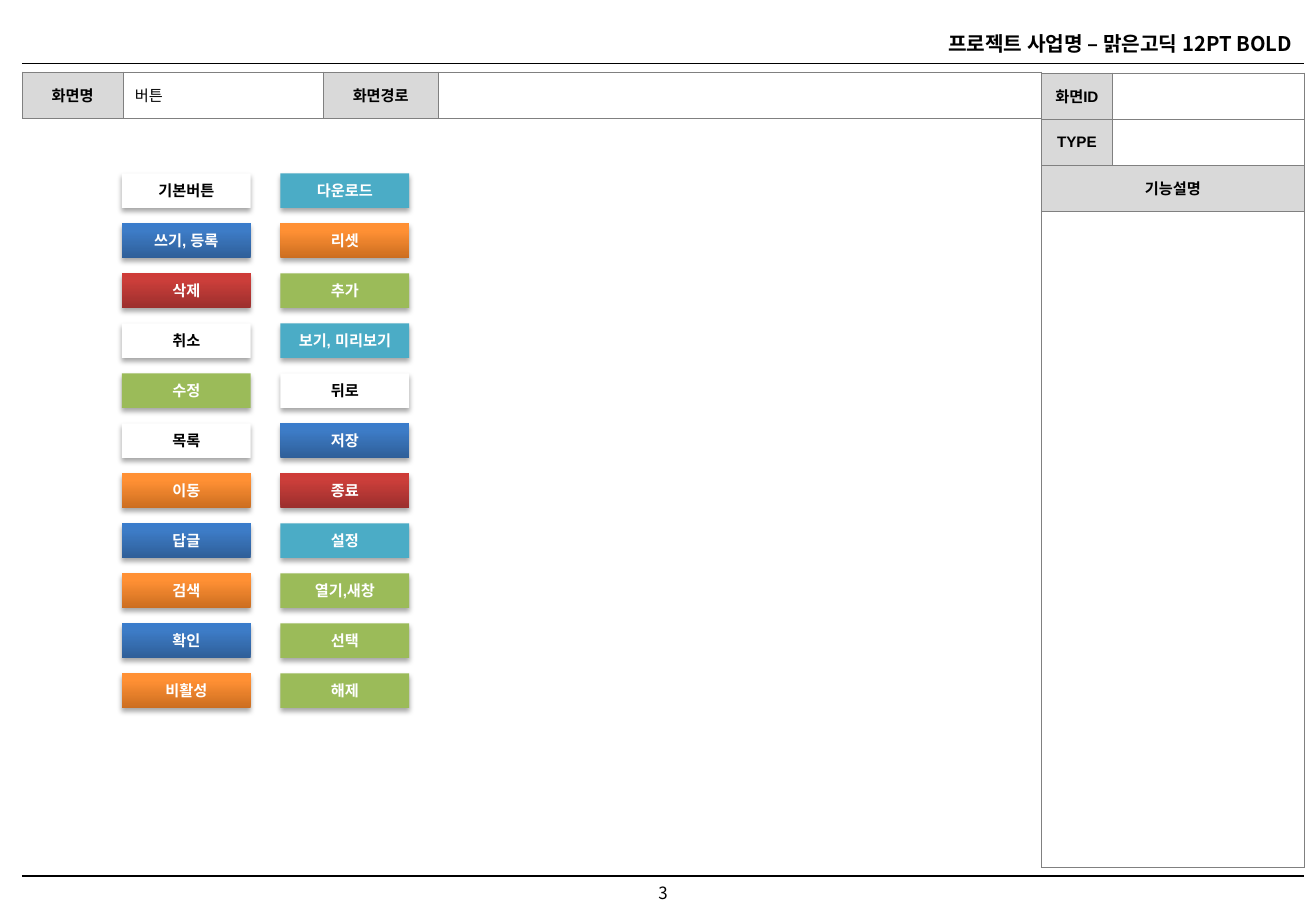
from lxml.etree import SubElement
from pptx import Presentation
from pptx.dml.color import RGBColor
from pptx.enum.shapes import MSO_CONNECTOR as Line, MSO_SHAPE as Preset
from pptx.enum.text import MSO_ANCHOR as Anchor, PP_ALIGN as Align
from pptx.oxml import parse_xml
from pptx.oxml.ns import nsdecls, qn
from pptx.util import Pt

KOREAN, LATIN = "Noto Sans CJK KR", "Arial"
BLACK, WHITE, LABEL_GREY, BORDER_GREY = "000000", "FFFFFF", "D9D9D9", "808080"
CELL_INSET = Pt(2.88)

# Button fills: one colour, or gradient stops from bottom to top
STYLES = {
    "white": WHITE,
    "green": "9BBB59",
    "teal": "4BACC6",
    "blue": [(0, "2F5F99"), (80, "3D7CC7"), (100, "3A7CCB")],
    "red": [(0, "9C2F2D"), (80, "CB3E3A"), (100, "CE3B37")],
    "orange": [(0, "CC6E20"), (80, "FF9034"), (100, "FF9136")],
}
BUTTON_COLUMNS = [
    [("기본버튼", "white"), ("쓰기, 등록", "blue"), ("삭제", "red"),
     ("취소", "white"), ("수정", "green"), ("목록", "white"),
     ("이동", "orange"), ("답글", "blue"), ("검색", "orange"),
     ("확인", "blue"), ("비활성", "orange")],
    [("다운로드", "teal"), ("리셋", "orange"), ("추가", "green"),
     ("보기, 미리보기", "teal"), ("뒤로", "white"), ("저장", "blue"),
     ("종료", "red"), ("설정", "teal"), ("열기,새창", "green"),
     ("선택", "green"), ("해제", "green")],
]


def rgb(hex_colour):
    return RGBColor.from_string(hex_colour)


def set_all(target, values):
    for name, value in values.items():
        setattr(target, name, value)


def write(frame, text, size=9, face=LATIN, colour=BLACK, bold=True, align=Align.CENTER):
    paragraph = frame.paragraphs[0]
    paragraph.alignment = align
    run = paragraph.add_run()
    run.text = text
    set_all(run.font, {"size": Pt(size), "name": face, "bold": bold})
    run.font.color.rgb = rgb(colour)
    SubElement(run.font._element, qn("a:ea"), typeface=KOREAN)


def add_label(slide, box, text, anchor=Anchor.TOP, **style):
    label = slide.shapes.add_textbox(*map(Pt, box))
    set_all(label.text_frame, {"word_wrap": True, "vertical_anchor": anchor})
    write(label.text_frame, text, face=KOREAN, **style)


def add_rule(slide, left, top, width):
    rule = slide.shapes.add_connector(
        Line.STRAIGHT, Pt(left), Pt(top), Pt(left + width), Pt(top))
    rule.line.color.rgb = rgb(BLACK)
    rule.line.width = Pt(0.75)
    SubElement(rule.element.spPr, qn("a:effectLst"))


def format_cell(cell, text):
    set_all(cell, {"margin_left": CELL_INSET, "margin_right": CELL_INSET,
                   "margin_top": CELL_INSET, "margin_bottom": CELL_INSET,
                   "vertical_anchor": Anchor.MIDDLE})
    cell.fill.solid()
    cell.fill.fore_color.rgb = rgb(LABEL_GREY if text else WHITE)
    if text:
        write(cell.text_frame, text)
    else:
        # Keeps empty rows from growing
        SubElement(cell.text_frame.paragraphs[0]._p, qn("a:endParaRPr"), sz="900")
    properties = cell._tc.get_or_add_tcPr()
    for place, side in enumerate(("lnL", "lnR", "lnT", "lnB")):
        properties.insert(place, parse_xml(
            f'<a:{side} {nsdecls("a")} w="{Pt(0.25)}"><a:solidFill>'
            f'<a:srgbClr val="{BORDER_GREY}"/></a:solidFill></a:{side}>'))


def add_form(slide, left, top, widths, heights, rows, merged_rows=()):
    form = slide.shapes.add_table(
        len(heights), len(widths), Pt(left), Pt(top),
        Pt(sum(widths)), Pt(sum(heights))).table
    set_all(form, {"first_row": False, "horz_banding": False})
    for column, width in zip(form.columns, widths):
        column.width = Pt(width)
    for row, height, texts in zip(form.rows, heights, rows):
        row.height = Pt(height)
        for cell, text in zip(row.cells, texts):
            format_cell(cell, text)
    for index in merged_rows:
        form.cell(index, 0).merge(form.cell(index, len(widths) - 1))


def add_button(slide, box, text, style):
    button = slide.shapes.add_shape(Preset.RECTANGLE, *map(Pt, box))
    fill = STYLES[style]
    if isinstance(fill, str):
        button.fill.solid()
        button.fill.fore_color.rgb = rgb(fill)
    else:
        button.fill.gradient()
        button.fill.gradient_angle = 90
        stops = button.element.spPr.find(".//" + qn("a:gsLst"))
        stops.clear()
        for percent, colour in fill:
            stop = SubElement(stops, qn("a:gs"), pos=str(percent * 1000))
            SubElement(stop, qn("a:srgbClr"), val=colour)
    button.line.fill.background()
    # Soft shadow straight below
    button.shadow.inherit = False
    button.element.spPr.find(qn("a:effectLst")).append(parse_xml(
        f'<a:outerShdw {nsdecls("a")} blurRad="{Pt(3.1)}" dist="{Pt(1.8)}" '
        f'dir="5400000" rotWithShape="0"><a:srgbClr val="{BLACK}">'
        '<a:alpha val="35000"/></a:srgbClr></a:outerShdw>'))
    set_all(button.text_frame, {
        "margin_left": Pt(5), "margin_right": Pt(5), "margin_top": CELL_INSET,
        "margin_bottom": CELL_INSET, "word_wrap": True,
        "vertical_anchor": Anchor.MIDDLE})
    write(button.text_frame, text, colour=BLACK if style == "white" else WHITE)


def add_page_frame(slide, left, top, width, height):
    # Title and rule above, rule and page number below
    add_rule(slide, left, top, width)
    add_label(slide, (left + width - 368.6, top - 22.4, 368.6, 21.6),
              "프로젝트 사업명 – 맑은고딕 12PT BOLD", size=12, align=Align.RIGHT)
    add_rule(slide, left, top + height, width)
    add_label(slide, (left + width / 2 - 91, top + height, 182, 19.4), "3",
              anchor=Anchor.MIDDLE, size=10, bold=False)


def add_screen_header(slide, left, top, height):
    widths = [59.8, 118.8, 67.9, 357.4]
    add_form(slide, left, top, widths, [height], [["화면명", "", "화면경로", ""]])
    add_label(slide, (left + widths[0], top + 5, 121.7, 18), "버튼",
              bold=False, align=Align.LEFT)


def add_description_panel(slide, left, top, row_height):
    add_form(slide, left, top, [42.4, 113.8], [row_height] * 3 + [388.8],
             [["화면ID", ""], ["TYPE", ""], ["기능설명", ""], ["", ""]],
             merged_rows=(2, 3))


def add_button_grid(slide, left, top, column_pitch, row_pitch):
    for column, buttons in enumerate(BUTTON_COLUMNS):
        for row, (text, style) in enumerate(buttons):
            box = (left + column * column_pitch, top + row * row_pitch, 76.4, 20.5)
            add_button(slide, box, text, style)


def main():
    deck = Presentation()
    set_all(deck, {"slide_width": Pt(780), "slide_height": Pt(540)})
    slide = deck.slides.add_slide(deck.slide_layouts[6])
    add_page_frame(slide, 13, 37.5, 760, 481.8)
    add_description_panel(slide, 617.1, 43.2, 27.3)
    add_screen_header(slide, 13.1, 42.6, 27.3)
    add_button_grid(slide, 72.2, 102.8, 94, 29.63)
    deck.save("out.pptx")


if __name__ == "__main__":
    main()
